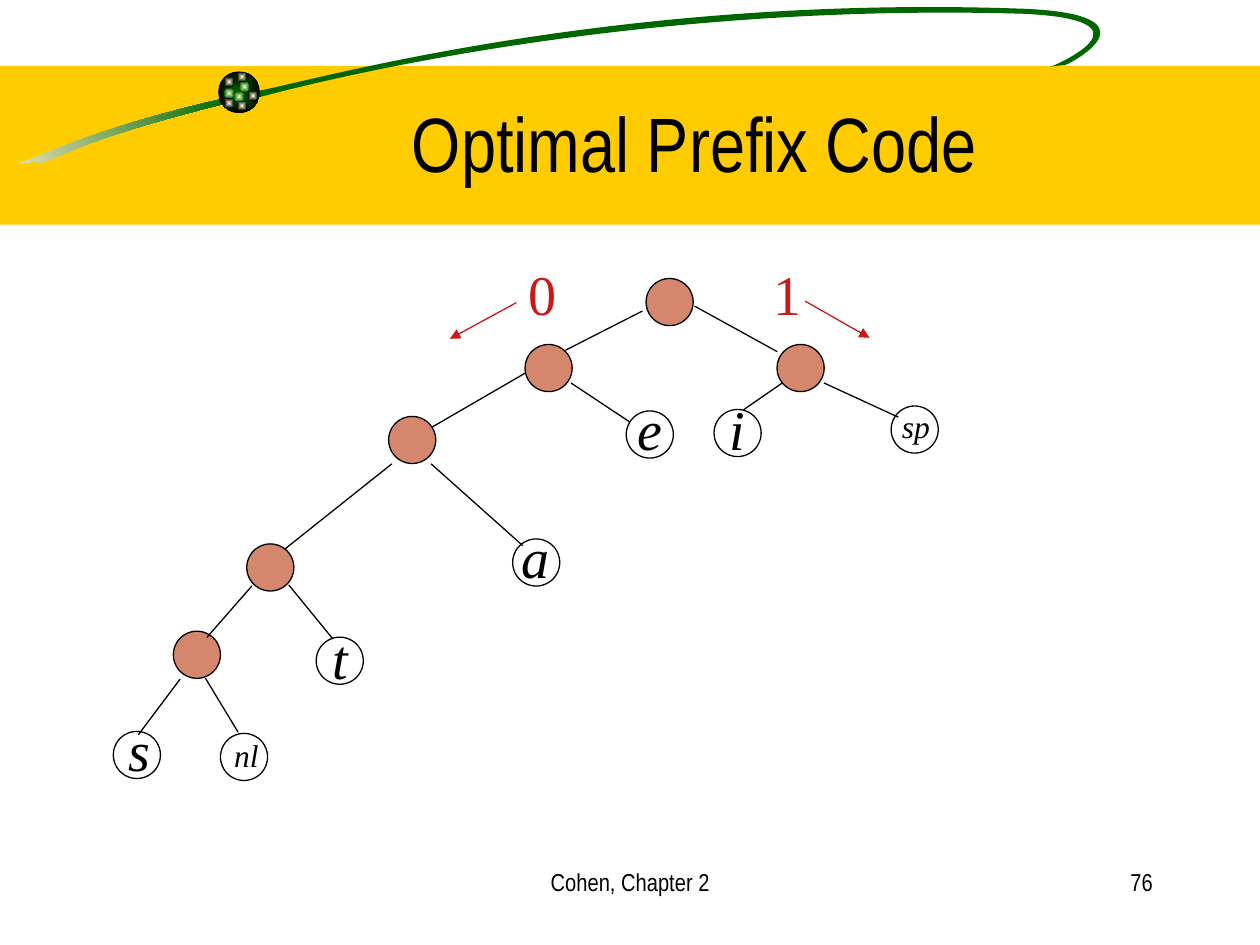
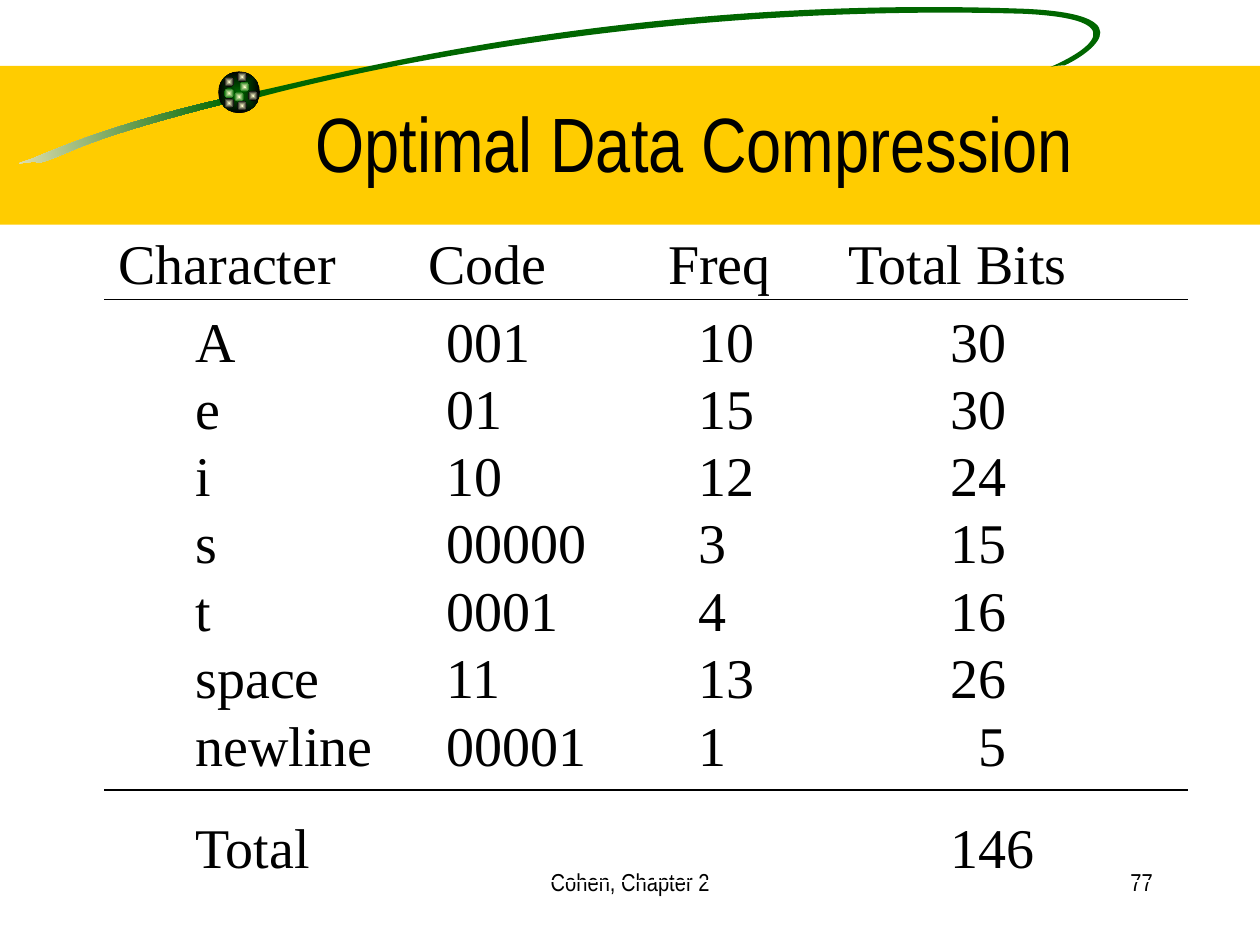
"""Build two slides about optimal prefix codes: the code tree and its bit totals."""
import math
from dataclasses import dataclass
from typing import Optional

from lxml import etree
from pptx import Presentation
from pptx import util as u
from pptx.dml.color import RGBColor
from pptx.enum import shapes, text
from pptx.oxml import ns

BLACK = RGBColor(0x00, 0x00, 0x00)
GOLD = RGBColor(0xFF, 0xCC, 0x00)
GREEN = RGBColor(0x00, 0x66, 0x00)
CREAM = RGBColor(0xF5, 0xEB, 0xC1)
PALE = RGBColor(0xFF, 0xFF, 0xCC)
CLAY = RGBColor(0xD4, 0x87, 0x6C)
RED = RGBColor(0xCA, 0x1A, 0x16)

HEADING_FONT = "Arial Narrow"
BODY_FONT = "Times New Roman"
HAIRLINE = u.Pt(0.75)
SWOOSH_TILT = 8.5
NODE_SIZE = 0.95
SPARKLE_SIZE = 0.2


@dataclass(frozen=True)
class Style:
    """Character formatting of a run."""
    size: float
    font: str = BODY_FONT
    color: RGBColor = BLACK
    italic: bool = False


@dataclass(frozen=True)
class Symbol:
    """The letter of a leaf and the corner of its text box."""
    words: str
    left: float
    top: float
    size: float = 32
    height: float = 1.63


@dataclass(frozen=True)
class Node:
    """A tree node by its centre; leaves carry a symbol."""
    x: float
    y: float
    symbol: Optional[Symbol] = None


@dataclass(frozen=True)
class Edge:
    """A straight line between two points."""
    x1: float
    y1: float
    x2: float
    y2: float


@dataclass(frozen=True)
class Outline:
    """A closed tilted outline: its centre, a start point and cubic curves."""
    centre: tuple
    start: tuple
    curves: tuple


@dataclass(frozen=True)
class Column:
    """A table column with its own insets for heading and values."""
    heading: str
    width: float
    inset: float
    values: tuple
    total: str = ""
    right_inset: Optional[float] = None


TITLE = Style(44, HEADING_FONT)
FOOTER = Style(14, HEADING_FONT)
BODY = Style(32)
BIT = Style(32, color=RED)

TAIL = Outline((2.26, 2.69), (4.52, 1.98), (
    ((2.31, 2.49), (1.24, 2.95), (0.64, 3.2)),
    ((0.03, 3.4), (0.66, 3.2), (0.79, 3.28)),
    ((1.45, 3.1), (1.45, 2.87), (4.55, 2.08)),
))
LOOP = Outline((14.2, 1), (5.13, 1.85), (
    ((6.25, 1.65), (12.34, -0.13), (20.68, 0.18)),
    ((23.29, 0.3), (21.77, 1.19), (21.46, 1.32)),
    ((21.46, 1.32), (21.28, 1.32), (21.18, 1.35)),
    ((21.44, 1.24), (23.27, 0.41), (20.65, 0.28)),
    ((13.92, 0.08), (8.13, 1.19), (5.23, 1.96)),
))
SPARKLES = (
    (4.83, 1.65, GREEN), (4.52, 1.55, BLACK), (4.52, 1.78, GREEN), (4.72, 1.85, GREEN),
    (5, 1.83, BLACK), (4.78, 2.03, BLACK), (4.52, 1.98, BLACK), (4.78, 1.45, BLACK),
)

NODES = (
    Node(13.5, 6.09), Node(11.06, 7.42), Node(16.14, 7.42),
    Node(8.31, 8.87), Node(5.45, 11.44), Node(3.97, 13.2),
    Node(10.81, 11.34, Symbol("a", 10.26, 10.41)),
    Node(13.1, 8.76, Symbol("e", 12.6, 7.82)),
    Node(14.87, 8.73, Symbol("i", 14.45, 7.82)),
    Node(2.76, 15.22, Symbol("s", 2.34, 14.3)),
    Node(6.85, 13.32, Symbol("t", 6.45, 12.45)),
    Node(18.44, 8.66, Symbol("sp", 17.93, 8.08, 18, 1.02)),
    Node(4.92, 15.26, Symbol("nl", 4.47, 14.71, 18, 1.02)),
)
EDGES = (
    Edge(12.95, 6.27, 11.4, 7.06), Edge(14, 6.17, 15.67, 7.09),
    Edge(10.59, 7.52, 8.71, 8.61), Edge(11.51, 7.72, 12.7, 8.51),
    Edge(15.77, 7.72, 14.99, 8.26), Edge(16.61, 7.72, 18.11, 8.41),
    Edge(7.9, 9.35, 5.74, 11.07), Edge(8.69, 9.35, 10.54, 11),
    Edge(5.08, 11.81, 4.17, 12.85), Edge(5.82, 11.79, 6.71, 12.88),
    Edge(3.63, 13.69, 2.79, 14.81), Edge(4.14, 13.67, 4.8, 14.76),
)
BIT_ARROWS = (
    ("0", 10.41, Edge(10.41, 6.1, 9.07, 6.83)),
    ("1", 15.34, Edge(16.23, 6.07, 17.53, 6.81)),
)

COLUMNS = (
    Column("Character", 6.25, 1.82, ("A", "e", "i", "s", "t", "space", "newline"), "Total"),
    Column("Code", 4.83, 0.64, ("001", "01", "10", "00000", "0001", "11", "00001")),
    Column("Freq", 3.63, 0.89, ("10", "15", "12", "3", "4", "13", "1")),
    Column("Total Bits", 7.11, 2.34, ("30", "30", "24", "15", "16", "26", "5"), "146", 3.66),
)
ROW_HEIGHTS = (1.4, 1.5, *[1.35] * 5, 1.6, 1.83)
LAST_VALUE_ROW = len(ROW_HEIGHTS) - 2
BOTTOM_INSETS = {0: 0.06, LAST_VALUE_ROW: 0.23}
RULES = {0: "a:lnB", 1: "a:lnT", LAST_VALUE_ROW: "a:lnB", LAST_VALUE_ROW + 1: "a:lnT"}


def add_span(para, words: str, style: Style) -> None:
    """Append one formatted run."""
    span = para.add_run()
    span.text = words
    span.font.name = style.font
    span.font.size = u.Pt(style.size)
    span.font.italic = style.italic
    span.font.color.rgb = style.color


def add_label(page, words: str, left: float, top: float, width: float, height: float,
              style: Style, align=text.PP_ALIGN.LEFT, anchor=text.MSO_ANCHOR.TOP) -> None:
    """Place a wrapped text box."""
    box = page.shapes.add_textbox(u.Cm(left), u.Cm(top), u.Cm(width), u.Cm(height))
    box.text_frame.word_wrap = True
    box.text_frame.vertical_anchor = anchor
    para = box.text_frame.paragraphs[0]
    para.alignment = align
    add_span(para, words, style)


def add_plain(page, kind, left: float, top: float, width: float, height: float):
    """Place a preset shape without shadow or line."""
    shape = page.shapes.add_shape(kind, u.Cm(left), u.Cm(top), u.Cm(width), u.Cm(height))
    shape.shadow.inherit = False
    shape.line.fill.background()
    return shape


def fill_gradient(shape, first: RGBColor, last: RGBColor) -> None:
    """Fill a shape with a level two-colour gradient."""
    shape.fill.gradient()
    shape.fill.gradient_angle = 0
    for stop, color in zip(shape.fill.gradient_stops, (first, last)):
        stop.color.rgb = color


def add_orb(page, left: float, top: float, size: float, core: RGBColor, rim: RGBColor) -> None:
    """Draw a ball shaded from its core to its rim."""
    orb = add_plain(page, shapes.MSO_SHAPE.OVAL, left, top, size, size)
    fill_gradient(orb, core, rim)
    gradient = orb._element.spPr.find(ns.qn("a:gradFill"))
    gradient.remove(gradient.find(ns.qn("a:lin")))
    shade = etree.SubElement(gradient, ns.qn("a:path"), {"path": "rect"})
    etree.SubElement(shade, ns.qn("a:fillToRect"), dict.fromkeys("ltrb", "50000"))


def level_point(point: tuple, centre: tuple) -> tuple:
    """Turn a point about a centre so that the swoosh lies level."""
    angle = math.radians(SWOOSH_TILT)
    dx, dy = point[0] - centre[0], point[1] - centre[1]
    return (u.Cm(centre[0] + dx * math.cos(angle) - dy * math.sin(angle)),
            u.Cm(centre[1] + dx * math.sin(angle) + dy * math.cos(angle)))


def add_outline(page, outline: Outline):
    """Draw a closed, tilted outline of cubic curves without a line."""
    builder = page.shapes.build_freeform(*level_point(outline.start, outline.centre))
    builder.add_line_segments(
        [level_point(point, outline.centre) for curve in outline.curves for point in curve],
        close=True)
    shape = builder.convert_to_shape()
    segments = list(shape._element.iter(ns.qn("a:lnTo")))
    for first in range(0, len(segments), 3):
        curve = etree.Element(ns.qn("a:cubicBezTo"))
        segments[first].addprevious(curve)
        for segment in segments[first:first + 3]:
            curve.append(segment[0])
            segment.getparent().remove(segment)
    shape.rotation = -SWOOSH_TILT
    shape.shadow.inherit = False
    shape.line.fill.background()
    return shape


def add_edge(page, edge: Edge, color: RGBColor = BLACK, arrow: bool = False) -> None:
    """Draw a thin line, with an arrowhead at its end if asked."""
    line = page.shapes.add_connector(
        shapes.MSO_CONNECTOR.STRAIGHT,
        u.Cm(edge.x1), u.Cm(edge.y1), u.Cm(edge.x2), u.Cm(edge.y2))
    line.line.color.rgb = color
    line.line.width = HAIRLINE
    if arrow:
        etree.SubElement(line.line._get_or_add_ln(), ns.qn("a:tailEnd"), {"type": "triangle"})
    etree.SubElement(line._element.spPr, ns.qn("a:effectLst"))


def add_node(page, node: Node) -> None:
    """Draw an inner node, or a leaf with its symbol."""
    half = NODE_SIZE / 2
    circle = add_plain(page, shapes.MSO_SHAPE.OVAL,
                       node.x - half, node.y - half, NODE_SIZE, NODE_SIZE)
    circle.line.color.rgb = BLACK
    circle.line.width = HAIRLINE
    symbol = node.symbol
    if symbol:
        circle.fill.background()
        add_label(page, symbol.words, symbol.left, symbol.top, 1.42, symbol.height,
                  Style(symbol.size, italic=True))
    else:
        circle.fill.solid()
        circle.fill.fore_color.rgb = CLAY


def add_page(deck, title: str, number: int):
    """Add a slide with the band, swoosh, title and footer."""
    page = deck.slides.add_slide(deck.slide_layouts[6])
    band = add_plain(page, shapes.MSO_SHAPE.RECTANGLE, 0, 1.33, 25.4, 3.2)
    band.fill.solid()
    band.fill.fore_color.rgb = GOLD
    fill_gradient(add_outline(page, TAIL), CREAM, GREEN)
    loop = add_outline(page, LOOP)
    loop.fill.solid()
    loop.fill.fore_color.rgb = GREEN
    add_orb(page, 4.4, 1.44, 0.84, GREEN, BLACK)
    for left, top, rim in SPARKLES:
        add_orb(page, left, top, SPARKLE_SIZE, PALE, rim)
    add_label(page, title, 3.21, 1.27, 21.59, 3.18, TITLE,
              text.PP_ALIGN.CENTER, text.MSO_ANCHOR.MIDDLE)
    add_label(page, "Cohen, Chapter 2", 8.68, 17.35, 8.05, 1.27, FOOTER, text.PP_ALIGN.CENTER)
    add_label(page, str(number), 18.21, 17.35, 5.28, 1.27, FOOTER, text.PP_ALIGN.RIGHT)
    return page


def add_rule(cell, side: str) -> None:
    """Give a cell a thin black border on one side."""
    border = etree.Element(ns.qn(side), {"w": str(HAIRLINE)})
    fill = etree.SubElement(border, ns.qn("a:solidFill"))
    etree.SubElement(fill, ns.qn("a:srgbClr"), {"val": str(BLACK)})
    cell._tc.get_or_add_tcPr().insert(0, border)


def add_code_table(page) -> None:
    """Draw the table of codes, frequencies and bit totals."""
    width = sum(column.width for column in COLUMNS)
    table = page.shapes.add_table(len(ROW_HEIGHTS), len(COLUMNS), u.Cm(2.12), u.Cm(4.63),
                                  u.Cm(width), u.Cm(sum(ROW_HEIGHTS))).table
    table.first_row = table.horz_banding = False
    for row, height in zip(table.rows, ROW_HEIGHTS):
        row.height = u.Cm(height)
    for index, column in enumerate(COLUMNS):
        table.columns[index].width = u.Cm(column.width)
        for row, words in enumerate((column.heading, *column.values, column.total)):
            cell = table.cell(row, index)
            cell.fill.background()
            cell.vertical_anchor = text.MSO_ANCHOR.BOTTOM
            cell.margin_top = cell.margin_right = 0
            cell.margin_bottom = u.Cm(BOTTOM_INSETS.get(row, 0))
            cell.margin_left = u.Cm(column.inset if row else 0.27)
            para = cell.text_frame.paragraphs[0]
            if column.right_inset and 0 < row <= LAST_VALUE_ROW:
                para.alignment = text.PP_ALIGN.RIGHT
                cell.margin_left = 0
                cell.margin_right = u.Cm(column.right_inset)
            if words:
                add_span(para, words, BODY)
            if row in RULES:
                add_rule(cell, RULES[row])


def main() -> None:
    """Build and save the deck."""
    deck = Presentation()
    deck.slide_width, deck.slide_height = u.Cm(25.4), u.Cm(19.05)
    tree_page = add_page(deck, "Optimal Prefix Code", 76)
    for node in NODES:
        add_node(tree_page, node)
    for edge in EDGES:
        add_edge(tree_page, edge)
    for bit, left, arrow in BIT_ARROWS:
        add_label(tree_page, bit, left, 5.11, 1.57, 1.63, BIT)
        add_edge(tree_page, arrow, RED, arrow=True)
    add_code_table(add_page(deck, "Optimal Data Compression", 77))
    deck.save("out.pptx")


if __name__ == "__main__":
    main()
